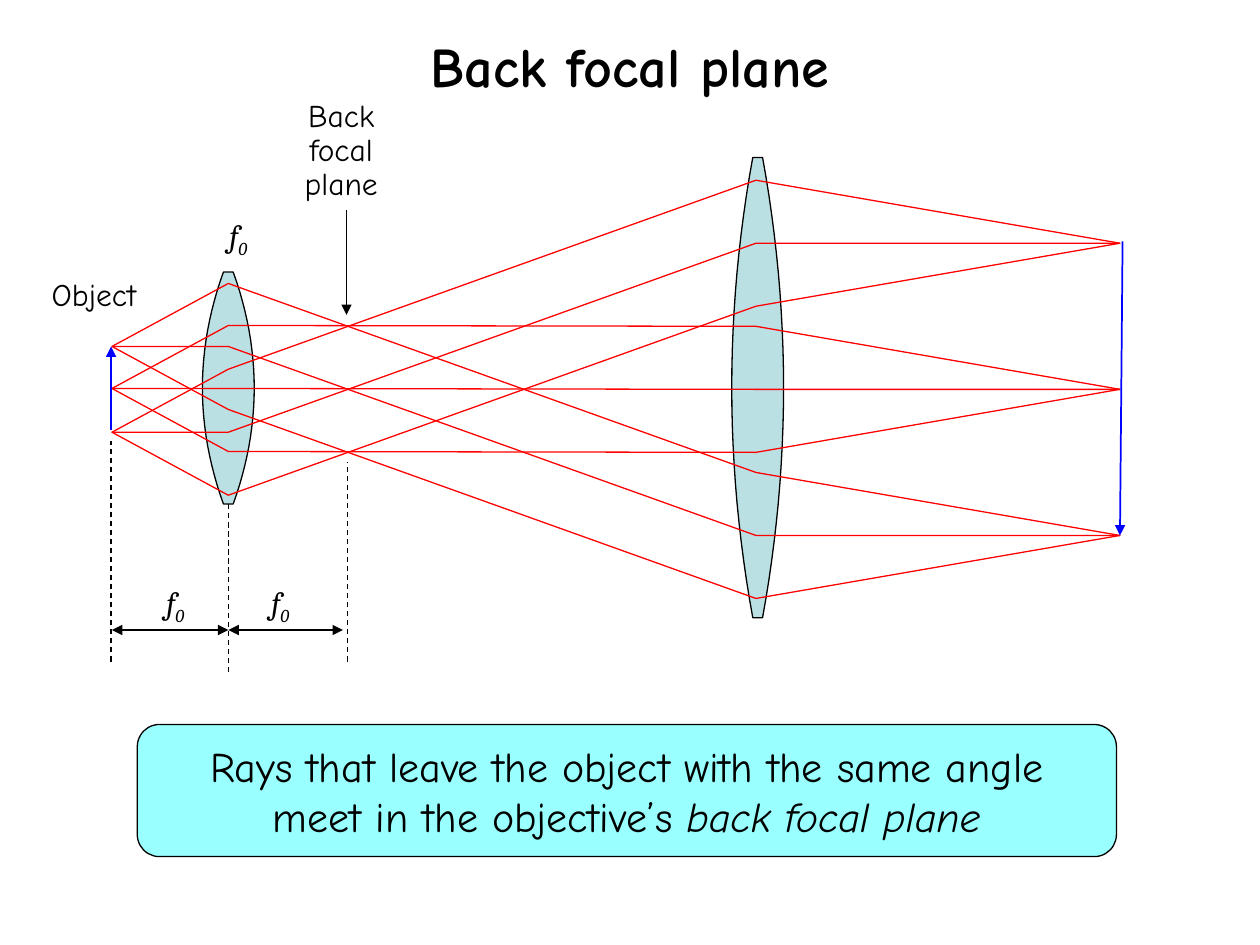
from lxml.etree import SubElement
from pptx import Presentation
from pptx.dml.color import RGBColor
from pptx.enum.dml import MSO_LINE
from pptx.enum.shapes import MSO_CONNECTOR, MSO_SHAPE
from pptx.enum.text import MSO_ANCHOR, PP_ALIGN
from pptx.oxml.ns import qn
from pptx.util import Pt

BLACK = RGBColor(0, 0, 0)
RED = RGBColor(255, 0, 0)
BLUE = RGBColor(0, 0, 255)
GLASS = RGBColor(0xBB, 0xE0, 0xE3)
CYAN = RGBColor(0x99, 0xFF, 0xFF)
SANS, SERIF = "Comic Neue", "Cambria"

TITLE = "Back focal plane"
MESSAGE = [
    [("Rays that leave the object with the same angle", {})],
    [("meet in the objective’s ", {}), ("back focal plane", {"italic": True})],
]
FOCAL_LENGTH = [[("f", {}), ("0", {"subscript": True})]]

# Horizontal positions of the optical planes
OBJECT_X, OBJECTIVE_X, FOCAL_X, TUBE_LENS_X, IMAGE_X = 64, 130.5, 198.5, 432, 640
RAY_RISE = 36
# Height of an object point and of its image
IMAGED_POINTS = [(198, 306), (222, 222.5), (247, 139)]
# Lens: centre x, top, bottom
LENSES = [(OBJECTIVE_X, 155.5, 288), (TUBE_LENS_X + 1, 90, 353)]
LENS_RIM, LENS_BULGE, LENS_STEPS = 2.8, 14.8, 24

# Text, left, top, width, height, font, alignment
LABELS = [
    ("Object", 22.5, 156, 78, 27, SANS, PP_ALIGN.LEFT),
    ("Back focal plane", 156, 54, 78, 72, SANS, PP_ALIGN.CENTER),
    (FOCAL_LENGTH, 124, 120, 36, 27, SERIF, PP_ALIGN.LEFT),
    (FOCAL_LENGTH, 88, 330, 36, 27, SERIF, PP_ALIGN.LEFT),
    (FOCAL_LENGTH, 148, 330, 36, 27, SERIF, PP_ALIGN.LEFT),
]
# Start, end, format
LINES = [
    ((63.5, 246), (63.5, 198), {"color": BLUE, "width": 1, "tail": True}),
    ((641.5, 138), (640, 306), {"color": BLUE, "width": 1, "tail": True}),
    ((198, 120), (198, 180), {"tail": True}),
    ((OBJECTIVE_X, 360), (64, 360), {"head": True, "tail": True}),
    ((196, 360), (OBJECTIVE_X, 360), {"head": True, "tail": True}),
    ((63.5, 378), (63.5, 252), {"dashed": True}),
    ((OBJECTIVE_X, 384), (OBJECTIVE_X, 288), {"dashed": True}),
    ((FOCAL_X, 378), (FOCAL_X, 264), {"dashed": True}),
]


def write_text(frame, text, size=18, font=SANS, bold=False,
               align=PP_ALIGN.LEFT, spacing=1.0):
    """Fill a frame with a string or with paragraphs of (text, format) runs."""
    paragraphs = [[(text, {})]] if isinstance(text, str) else text
    for index, runs in enumerate(paragraphs):
        paragraph = frame.add_paragraph() if index else frame.paragraphs[0]
        paragraph.alignment = align
        paragraph.line_spacing = spacing
        paragraph.space_before = Pt(0)
        for words, style in runs:
            run = paragraph.add_run()
            run.text = words
            run.font.name, run.font.size = font, Pt(size)
            run.font.bold = bold
            run.font.italic = font == SERIF or style.get("italic", False)
            run.font.color.rgb = BLACK
            if style.get("subscript"):
                run._r.get_or_add_rPr().set("baseline", "-25000")


def style_shape(shape, fill=None, line=BLACK):
    shape.shadow.inherit = False
    if fill is None:
        shape.fill.background()
    else:
        shape.fill.solid()
        shape.fill.fore_color.rgb = fill
    shape.line.color.rgb = line
    shape.line.width = Pt(0.75)


def add_outline(shapes, points, close, **style):
    points = [(Pt(x), Pt(y)) for x, y in points]
    builder = shapes.build_freeform(*points[0])
    builder.add_line_segments(points[1:], close=close)
    style_shape(builder.convert_to_shape(), **style)


def add_lens(shapes, center, top, bottom):
    def side(direction):
        for step in range(LENS_STEPS + 1):
            t = step / LENS_STEPS
            bulge = (LENS_BULGE - LENS_RIM) * 4 * t * (1 - t)
            yield center + direction * (LENS_RIM + bulge), top + t * (bottom - top)

    add_outline(shapes, [*side(1), *reversed(list(side(-1)))], True, fill=GLASS)


def add_rays(shapes, object_y, image_y):
    """Draw the central ray and the loop of the two outer rays of one point."""
    def ray(rise):
        return [(OBJECT_X, object_y), (OBJECTIVE_X, object_y + rise),
                (TUBE_LENS_X, image_y + rise), (IMAGE_X, image_y)]

    add_outline(shapes, ray(0), False, line=RED)
    loop = ray(-RAY_RISE) + ray(RAY_RISE)[-2:0:-1]
    add_outline(shapes, loop, True, line=RED)


def add_line(shapes, start, end, color=BLACK, width=0.75,
             head=False, tail=False, dashed=False):
    connector = shapes.add_connector(
        MSO_CONNECTOR.STRAIGHT, *(Pt(value) for value in start + end))
    connector.line.color.rgb = color
    connector.line.width = Pt(width)
    if dashed:
        connector.line.dash_style = MSO_LINE.DASH
    line = connector.line._get_or_add_ln()
    for tag, wanted in (("a:headEnd", head), ("a:tailEnd", tail)):
        if wanted:
            SubElement(line, qn(tag), type="triangle")
    SubElement(connector._element.spPr, qn("a:effectLst"))


def place(shape, *box):
    shape.left, shape.top, shape.width, shape.height = map(Pt, box)


def main():
    presentation = Presentation()
    presentation.slide_width, presentation.slide_height = Pt(720), Pt(540)
    slide = presentation.slides.add_slide(presentation.slide_layouts[5])
    shapes = slide.shapes

    title = shapes.title
    place(title, 54, 13, 612, 48)
    title.text_frame.vertical_anchor = MSO_ANCHOR.MIDDLE
    write_text(title.text_frame, TITLE, size=32, bold=True, align=PP_ALIGN.CENTER)

    for lens in LENSES:
        add_lens(shapes, *lens)
    for object_y, image_y in IMAGED_POINTS:
        add_rays(shapes, object_y, image_y)
    for start, end, style in LINES:
        add_line(shapes, start, end, **style)
    for text, left, top, width, height, font, align in LABELS:
        label = shapes.add_textbox(Pt(left), Pt(top), Pt(width), Pt(height))
        label.text_frame.word_wrap = True
        write_text(label.text_frame, text, font=font, align=align, spacing=0.9)

    message = shapes.add_shape(
        MSO_SHAPE.ROUNDED_RECTANGLE, Pt(78.5), Pt(414), Pt(559.5), Pt(75.5))
    message.adjustments[0] = 0.167
    style_shape(message, fill=CYAN)
    message.text_frame.word_wrap = False
    message.text_frame.vertical_anchor = MSO_ANCHOR.MIDDLE
    write_text(message.text_frame, MESSAGE, size=24, align=PP_ALIGN.CENTER)

    presentation.save("out.pptx")


if __name__ == "__main__":
    main()
